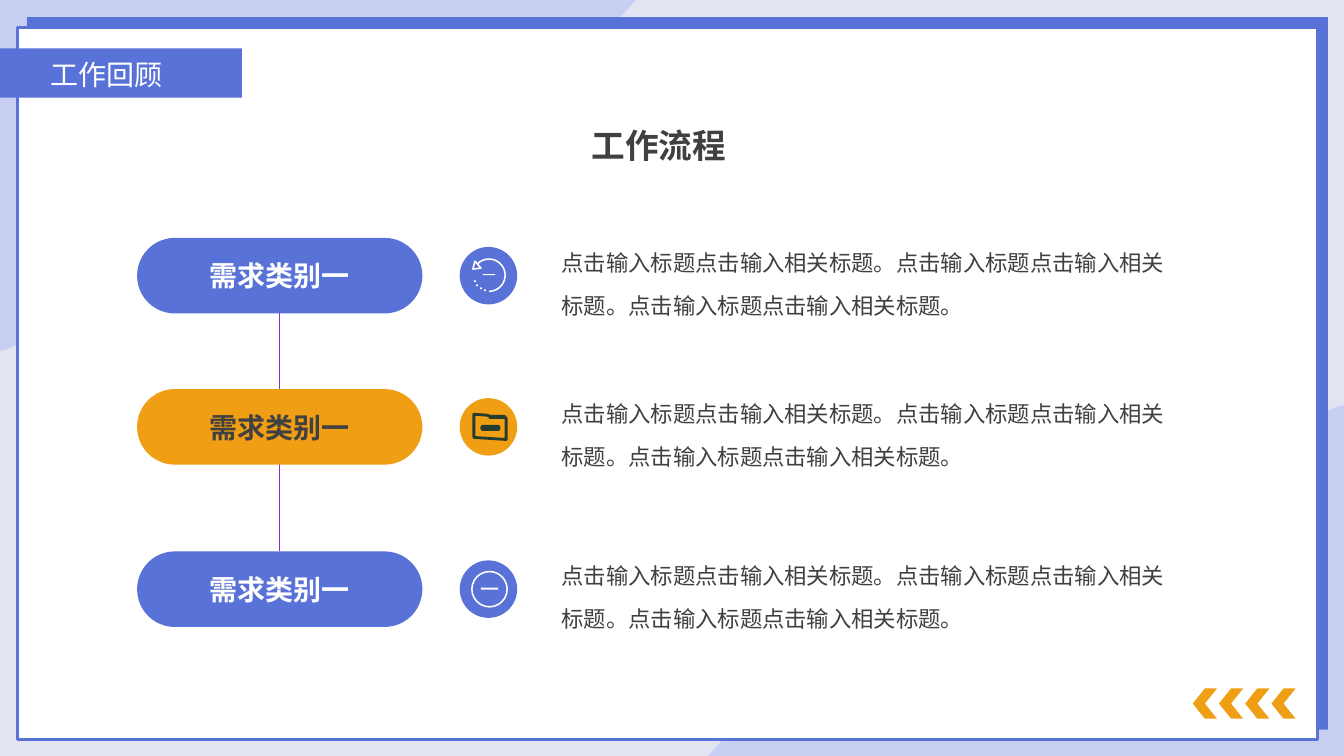
from math import cos, radians, sin

from lxml.etree import SubElement
from pptx import Presentation
from pptx.dml.color import RGBColor
from pptx.enum.shapes import MSO_CONNECTOR, MSO_SHAPE
from pptx.enum.text import MSO_ANCHOR, MSO_AUTO_SIZE, PP_ALIGN
from pptx.oxml.ns import qn
from pptx.util import Inches, Pt

BLUE, ORANGE, PALE, MIST = "5872D7", "F09E13", "C6CFF2", "E2E5F1"
WHITE, DARK, LINK, ICON_DARK = "FFFFFF", "404040", "8430CF", "253D2E"
WIDTH, HEIGHT = 13.33, 7.5
CJK_FONT = "Noto Sans CJK SC"
BODY = "点击输入标题点击输入相关标题。" * 3


def rgb(value):
    return RGBColor.from_string(value)


def bezier(p0, p1, p2, p3, steps=16):
    points = []
    for i in range(1, steps + 1):
        t = i / steps
        weights = ((1 - t) ** 3, 3 * t * (1 - t) ** 2, 3 * t * t * (1 - t), t ** 3)
        points.append(tuple(sum(w * p[axis] for w, p in zip(weights, (p0, p1, p2, p3)))
                            for axis in (0, 1)))
    return points


class Canvas:
    def __init__(self, slide, font="Arial"):
        self.slide = slide
        self.shapes = slide.shapes
        self.font = font

    def paint(self, sp, fill, line, width):
        sp.shadow.inherit = False
        if fill:
            sp.fill.solid()
            sp.fill.fore_color.rgb = rgb(fill)
        else:
            sp.fill.background()
        if line:
            sp.line.color.rgb = rgb(line)
            sp.line.width = Pt(width)
        else:
            sp.line.fill.background()
        return sp

    def shape(self, kind, x, y, w, h, fill=None, line=None, width=1):
        sp = self.shapes.add_shape(kind, Inches(x), Inches(y), Inches(w), Inches(h))
        return self.paint(sp, fill, line, width)

    def outline(self, points, fill=None, line=None, width=1, close=True):
        points = [(Inches(x), Inches(y)) for x, y in points]
        builder = self.shapes.build_freeform(*points[0], scale=1.0)
        builder.add_line_segments(points[1:], close=close)
        return self.paint(builder.convert_to_shape(), fill, line, width)

    def label(self, sp, text, size, color, bold=False, align=PP_ALIGN.LEFT, font=None, spacing=None):
        tf = sp.text_frame
        tf.word_wrap = True
        tf.text = text
        p = tf.paragraphs[0]
        p.alignment = align
        if spacing:
            p.line_spacing = spacing
        r = p.runs[0]
        r.font.size = Pt(size)
        r.font.bold = bold
        r.font.name = font or self.font
        r.font.color.rgb = rgb(color)
        SubElement(r.font._element, qn("a:ea"), typeface=CJK_FONT)

    def text(self, x, y, w, h, text, size, color, **style):
        sp = self.shapes.add_textbox(Inches(x), Inches(y), Inches(w), Inches(h))
        self.label(sp, text, size, color, **style)
        sp.text_frame.auto_size = MSO_AUTO_SIZE.SHAPE_TO_FIT_TEXT

    def connector(self, x1, y1, x2, y2, color, width):
        line = self.shapes.add_connector(MSO_CONNECTOR.STRAIGHT, Inches(x1), Inches(y1),
                                         Inches(x2), Inches(y2))
        line.line.color.rgb = rgb(color)
        line.line.width = Pt(width)
        SubElement(line._element.spPr, qn("a:effectLst"))
        return line

    def pill(self, x, y, w, h, fill, text, color):
        sp = self.shape(MSO_SHAPE.ROUNDED_RECTANGLE, x, y, w, h, fill)
        sp.adjustments[0] = 0.5
        self.label(sp, text, 20, color, bold=True, align=PP_ALIGN.CENTER)
        sp.text_frame.vertical_anchor = MSO_ANCHOR.MIDDLE
        return sp


def draw_frame(canvas):
    canvas.shape(MSO_SHAPE.RECTANGLE, 0, 0, WIDTH, HEIGHT, MIST)
    knots = [(6.15, 0.17), (5.6, 0.74), (5.04, 1.24), (4.47, 1.55), (3.56, 2.05), (2.46, 1.75),
             (1.68, 2.08), (0.99, 2.37), (0.74, 3.21), (0.06, 3.47)]
    wave = [(0, 3.48), (0, 0), (6.31, 0), knots[0]]
    for i in range(0, 9, 3):
        wave += bezier(*knots[i:i + 4])
    canvas.outline([(WIDTH - x, HEIGHT - y) for x, y in wave], PALE)
    canvas.outline(wave, PALE)
    canvas.shape(MSO_SHAPE.RECTANGLE, 0.27, 0.17, 12.9, 7.07, BLUE)
    canvas.shape(MSO_SHAPE.RECTANGLE, 0.17, 0.27, 12.9, 7.07, WHITE, BLUE, 2.25)
    canvas.shape(MSO_SHAPE.RECTANGLE, -1.15, 0.48, 3.55, 0.49, BLUE)
    canvas.text(0.4, 0.52, 1.9, 0.44, "工作回顾", 20, WHITE, align=PP_ALIGN.JUSTIFY, font=CJK_FONT)
    for i in range(4):
        chevron = canvas.shape(MSO_SHAPE.CHEVRON, 11.83 + 0.26 * i, 6.83, 0.24, 0.3, ORANGE)
        chevron.rotation = 180


def draw_history_icon(canvas):
    angles = [radians(a) for a in range(-135, 91, 5)]
    arc = [(4.85 + 0.16 * cos(a), 2.73 + 0.16 * sin(a)) for a in angles]
    canvas.outline(arc, line=WHITE, width=1.1, close=False)
    canvas.outline([(4.71, 2.59), (4.69, 2.67), (4.77, 2.66)], line=WHITE, width=1.1)
    canvas.shape(MSO_SHAPE.RECTANGLE, 4.79, 2.72, 0.12, 0.01, WHITE)
    for x, y in ((4.8, 2.87), (4.76, 2.85), (4.72, 2.82), (4.7, 2.78)):
        canvas.shape(MSO_SHAPE.OVAL, x, y, 0.02, 0.02, WHITE)


def draw_folder_icon(canvas):
    folder = [(4.7, 4.11), (4.84, 4.12), (4.85, 4.13), (5, 4.13), (5.02, 4.15), (5.02, 4.36), (4.7, 4.34)]
    canvas.outline(folder, line=ICON_DARK, width=2)
    canvas.outline([(4.85, 4.15), (5.02, 4.15)], line=ICON_DARK, width=1.5, close=False)
    tag = canvas.shape(MSO_SHAPE.ROUNDED_RECTANGLE, 4.78, 4.23, 0.17, 0.03, line=ICON_DARK, width=2)
    tag.adjustments[0] = 0.3


def draw_minus_icon(canvas):
    canvas.shape(MSO_SHAPE.OVAL, 4.68, 5.67, 0.35, 0.35, line=WHITE, width=1.1)
    canvas.shape(MSO_SHAPE.RECTANGLE, 4.77, 5.83, 0.17, 0.02, WHITE)


def draw_process(canvas):
    canvas.text(2.62, 1.19, 7.83, 0.5, "工作流程", 24, DARK, bold=True, align=PP_ALIGN.CENTER)
    rows = [(2.36, BLUE, WHITE, draw_history_icon),
            (3.86, ORANGE, DARK, draw_folder_icon),
            (5.47, BLUE, WHITE, draw_minus_icon)]
    link = canvas.connector(2.77, 3.11, 2.77, 5.47, LINK, 1)
    pills = []
    for top, fill, color, draw_icon in rows:
        pills.append(canvas.pill(1.36, top, 2.83, 0.75, fill, "需求类别一", color))
        canvas.shape(MSO_SHAPE.OVAL, 4.56, top + 0.09, 0.57, 0.57, fill)
        draw_icon(canvas)
        canvas.text(5.47, top - 0.1, 6.19, 0.91, BODY, 16, DARK, spacing=1.6)
    link.begin_connect(pills[0], 2)
    link.end_connect(pills[-1], 0)


def main():
    prs = Presentation()
    prs.slide_width, prs.slide_height = Inches(WIDTH), Inches(HEIGHT)
    canvas = Canvas(prs.slides.add_slide(prs.slide_layouts[6]))
    draw_frame(canvas)
    draw_process(canvas)
    prs.save("out.pptx")


if __name__ == "__main__":
    main()
